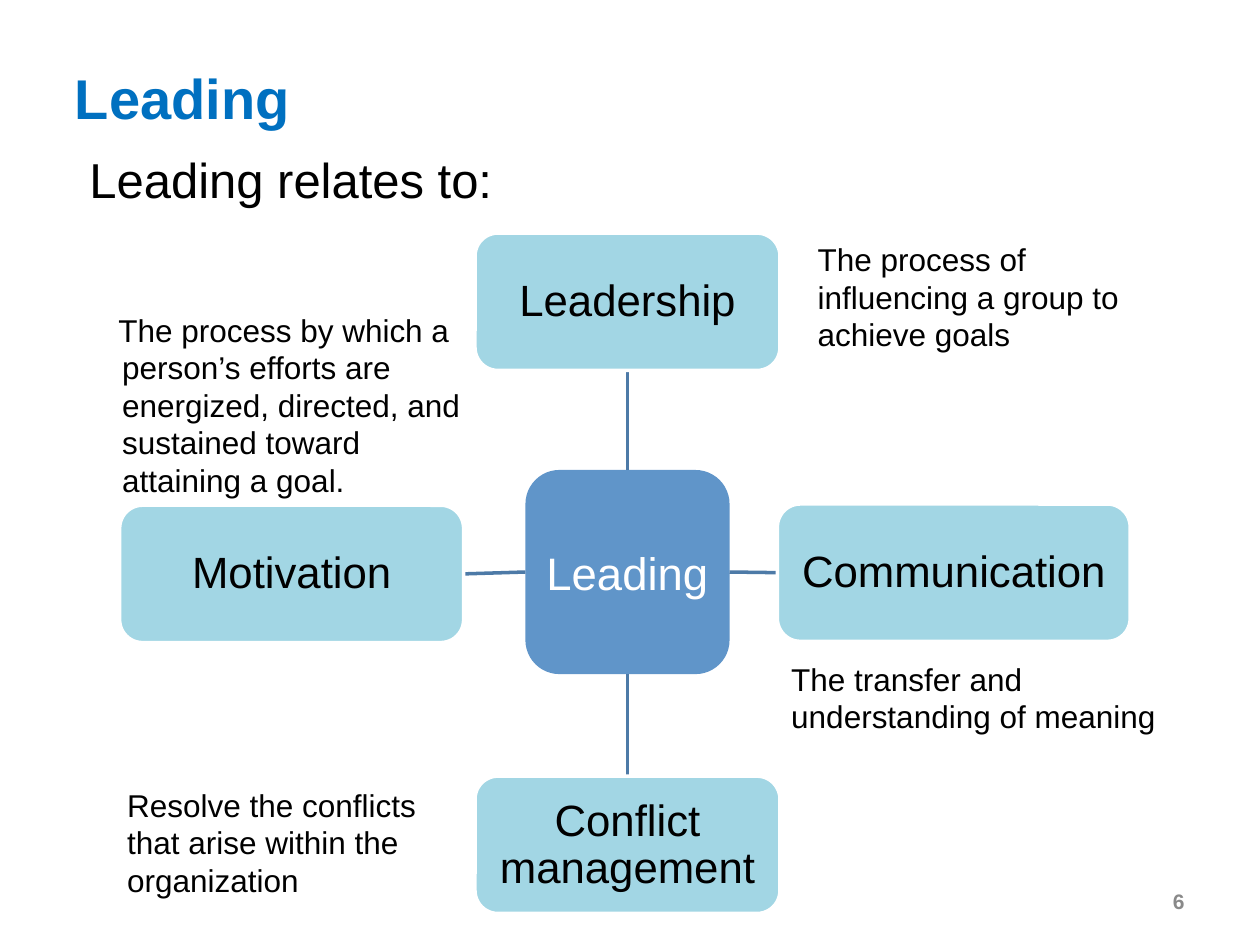
from pptx import Presentation
from pptx.util import Inches, Pt
from pptx.dml.color import RGBColor as RGB
from pptx.enum.shapes import MSO_SHAPE as Shape, MSO_CONNECTOR as Line
from pptx.enum.text import PP_ALIGN as Align, MSO_ANCHOR as Anchor, MSO_AUTO_SIZE as Auto
from pptx.oxml.ns import qn
from lxml.etree import SubElement

BLUE = RGB(0x00, 0x70, 0xC0)
MID = RGB(0x60, 0x95, 0xC9)
PALE = RGB(0xA2, 0xD6, 0xE4)
STEEL = RGB(0x4D, 0x7A, 0xA7)
GRAY = RGB(0x89, 0x89, 0x89)
BLACK = RGB(0, 0, 0)
WHITE = RGB(255, 255, 255)

COLS, ROWS = 100, 75
HIGH = 10.9
TITLE = ("Leading", (5.95, 5, 50, 5.6), {"size": Pt(32), "bold": True}, BLUE)
TEXTS = [
    ("Leading relates to:", (7.1, 11.9, 40, 4.9), {"size": Pt(28)}, BLACK),
    ("6", (93.1, 70.5, 3, 2.3), {"size": Pt(12), "bold": True}, GRAY),
]
HUB = ("Leading", (41.7, 37.3, 16.2, 16.2))
BOXES = [
    ("Leadership", (37.7, 18.5, 24.2, HIGH), 0, 2),
    ("Communication", (61.7, 40, 28, HIGH), 3, 1),
    ("Conflict management", (37.7, 61.6, 24.2, HIGH), 2, 0),
    ("Motivation", (9.5, 40.1, 27.3, HIGH), 1, 3),
]
NOTES = [
    ("The process of influencing a group to achieve goals", (64.9, 19.1, 24.6, 9.2), 0),
    ("The transfer and understanding of meaning", (62.8, 52.4, 29.6, 6.2), 0),
    ("The process by which a person’s efforts are energized, directed, and "
     "sustained toward attaining a goal.", (9.4, 24.7, 27.4, 15.2), 0.03),
    ("Resolve the conflicts that arise within the organization", (10.1, 62.4, 23.4, 9.2), 0),
]

deck = Presentation()
deck.slide_width, deck.slide_height = Inches(10), Inches(7.5)
slide = deck.slides.add_slide(deck.slide_layouts[5])
parts = slide.shapes


def grid(cell):
    x, y, w, h = cell
    dx, dy = deck.slide_width / COLS, deck.slide_height / ROWS
    return [round(v) for v in (x * dx, y * dy, w * dx, h * dy)]


def style(obj, look):
    for key, val in look.items():
        setattr(obj, key, val)


def write(item, text, font, tint, align=Align.LEFT, anchor=Anchor.TOP):
    frame = item.text_frame
    frame.text = text
    style(frame, {"margin_left": 0, "margin_right": 0, "margin_top": 0, "margin_bottom": 0,
                  "word_wrap": True, "auto_size": Auto.NONE, "vertical_anchor": anchor})
    para = frame.paragraphs[0]
    para.alignment = align
    run = para.runs[0].font
    style(run, {"name": "Arial", **font})
    run.color.rgb = tint
    return para


def label(text, cell, font, tint, align=Align.LEFT):
    return write(parts.add_textbox(*grid(cell)), text, font, tint, align)


def block(text, cell, fill, size, tint):
    box = parts.add_shape(Shape.ROUNDED_RECTANGLE, *grid(cell))
    box.shadow.inherit = False
    box.fill.solid()
    box.fill.fore_color.rgb = fill
    write(box, text, {"size": Pt(size)}, tint, Align.CENTER, Anchor.MIDDLE)
    return box


def join(hub, box, start, end):
    link = parts.add_connector(Line.STRAIGHT, 0, 0, 0, 0)
    link.begin_connect(hub, start)
    link.end_connect(box, end)
    link.line.color.rgb = STEEL
    link.line.width = Pt(2)
    SubElement(link._element.spPr, qn("a:effectLst"))
    parts._spTree.append(box._element)


text, cell, font, tint = TITLE
head = parts.title
style(head, dict(zip(("left", "top", "width", "height"), grid(cell))))
write(head, text, font, tint)

for item in TEXTS:
    label(*item)

hub = block(*HUB, MID, 26, WHITE)
hub.line.fill.background()
for text, cell, start, end in BOXES:
    box = block(text, cell, PALE, 25, BLACK)
    box.line.color.rgb = WHITE
    box.line.width = Pt(2)
    box.text_frame.paragraphs[0].line_spacing = Pt(27)
    join(hub, box, start, end)

for text, cell, hang in NOTES:
    para = label(text, cell, {"size": Pt(18)}, BLACK)
    para.line_spacing = Pt(21.4)
    if hang:
        props = para._p.get_or_add_pPr()
        props.set("marL", str(Inches(hang)))
        props.set("indent", str(-Inches(hang)))

deck.save("out.pptx")
